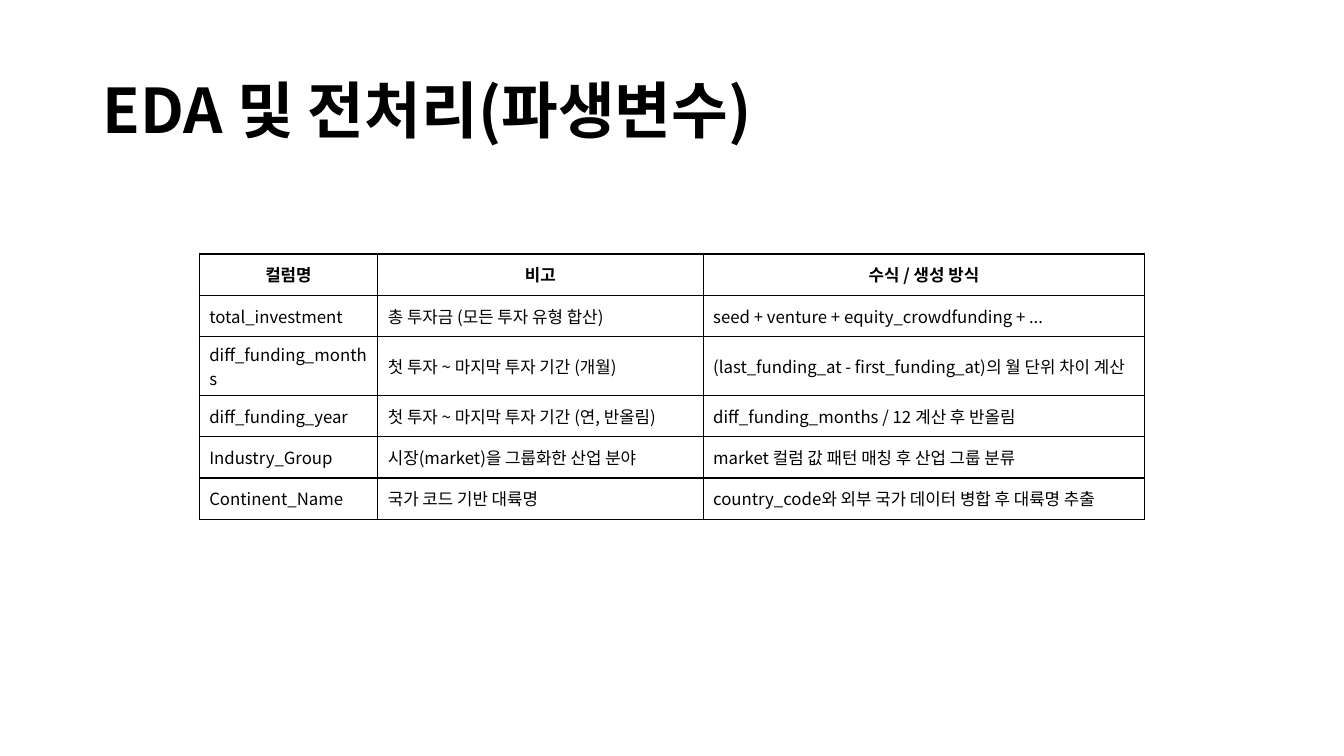
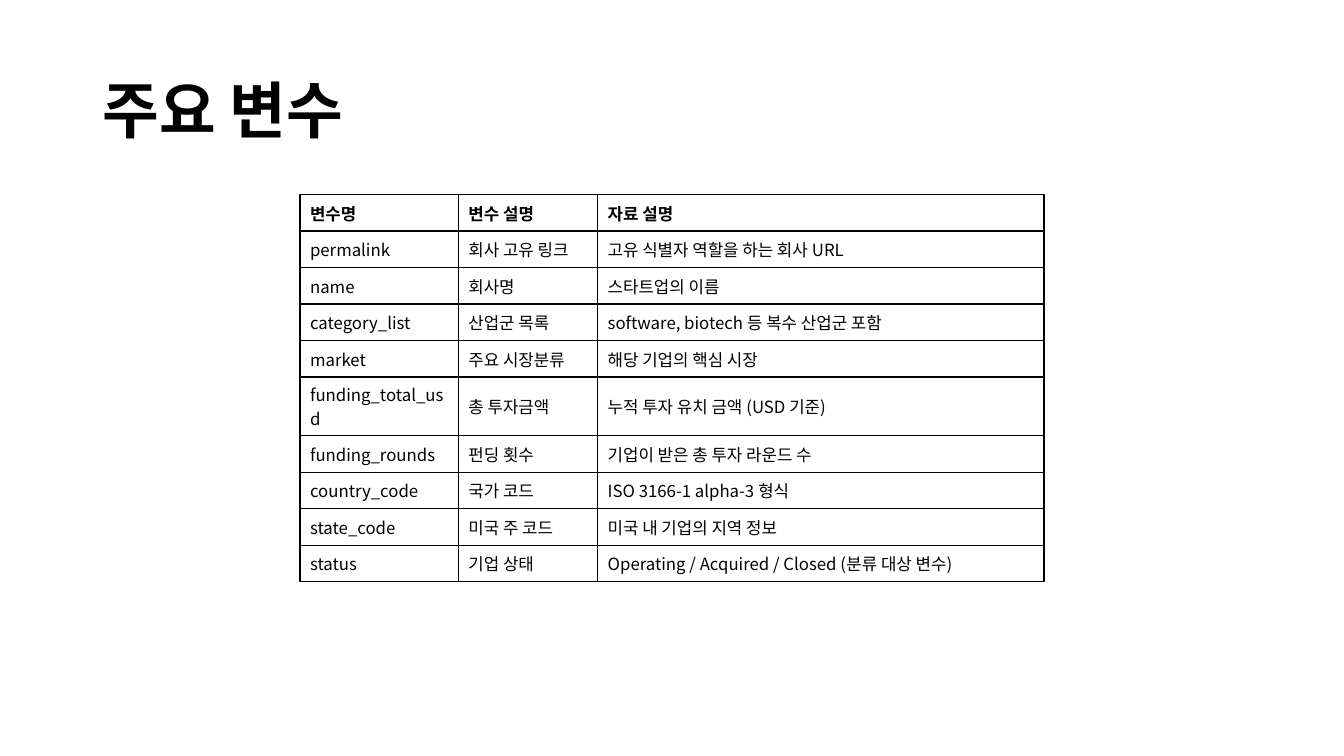
from lxml.etree import SubElement
from pptx import Presentation
from pptx.dml.color import RGBColor
from pptx.enum.text import MSO_ANCHOR as Anchor, MSO_AUTO_SIZE as AutoSize, PP_ALIGN as Align
from pptx.oxml.ns import qn
from pptx.util import Cm, Pt

BLACK = RGBColor(0x00, 0x00, 0x00)
WHITE = RGBColor(0xFF, 0xFF, 0xFF)
FONT = "Noto Sans CJK KR"
TITLE_ONLY = 5

SLIDES = [
    {
        "title": "EDA 및 전처리(파생변수)",
        "top": 6.4,
        "row_height": 1.04,
        "col_widths": (4.5, 8.2, 11.13),
        "header_align": Align.CENTER,
        "rows": [
            ("컬럼명", "비고", "수식 / 생성 방식"),
            ("total_investment", "총 투자금 (모든 투자 유형 합산)",
             "seed + venture + equity_crowdfunding + ..."),
            ("diff_funding_months", "첫 투자 ~ 마지막 투자 기간 (개월)",
             "(last_funding_at - first_funding_at)의 월 단위 차이 계산"),
            ("diff_funding_year", "첫 투자 ~ 마지막 투자 기간 (연, 반올림)",
             "diff_funding_months / 12 계산 후 반올림"),
            ("Industry_Group", "시장(market)을 그룹화한 산업 분야",
             "market 컬럼 값 패턴 매칭 후 산업 그룹 분류"),
            ("Continent_Name", "국가 코드 기반 대륙명",
             "country_code와 외부 국가 데이터 병합 후 대륙명 추출"),
        ],
    },
    {
        "title": "주요 변수",
        "top": 4.9,
        "row_height": 0.92,
        "col_widths": (3.99, 3.51, 11.25),
        "header_align": Align.LEFT,
        "rows": [
            ("변수명", "변수 설명", "자료 설명"),
            ("permalink", "회사 고유 링크", "고유 식별자 역할을 하는 회사 URL"),
            ("name", "회사명", "스타트업의 이름"),
            ("category_list", "산업군 목록", "software, biotech 등 복수 산업군 포함"),
            ("market", "주요 시장분류", "해당 기업의 핵심 시장"),
            ("funding_total_usd", "총 투자금액", "누적 투자 유치 금액 (USD 기준)"),
            ("funding_rounds", "펀딩 횟수", "기업이 받은 총 투자 라운드 수"),
            ("country_code", "국가 코드", "ISO 3166-1 alpha-3 형식"),
            ("state_code", "미국 주 코드", "미국 내 기업의 지역 정보"),
            ("status", "기업 상태", "Operating / Acquired / Closed (분류 대상 변수)"),
        ],
    },
]


def write(tf, text, size=12, bold=False, align=Align.LEFT, line_spacing=None):
    p = tf.paragraphs[0]
    p.alignment = align
    p.line_spacing = line_spacing
    r = p.add_run()
    r.text = text
    r.font.size = Pt(size)
    r.font.bold = bold
    r.font.name = FONT
    r.font.color.rgb = BLACK
    SubElement(r.font._element, qn("a:ea"), typeface=FONT)


def add_title(s, text):
    title = s.shapes.title
    title.left, title.top, title.width, title.height = Cm(2.33), Cm(1.01), Cm(29.21), Cm(3.68)
    tf = title.text_frame
    tf.auto_size = AutoSize.NONE
    tf.vertical_anchor = Anchor.MIDDLE
    write(tf, text, size=44, bold=True, line_spacing=0.9)


def add_borders(cell):
    tcPr = cell._tc.get_or_add_tcPr()
    for side in ("a:lnL", "a:lnR", "a:lnT", "a:lnB"):
        ln = SubElement(tcPr, qn(side), w=str(Pt(1)))
        fill = SubElement(ln, qn("a:solidFill"))
        SubElement(fill, qn("a:srgbClr"), val=str(BLACK))


def add_grid(s, slide_width, rows, col_widths, row_height, top, header_align):
    """Add a bordered table centred across the slide."""
    width = Cm(sum(col_widths))
    table = s.shapes.add_table(
        len(rows), len(col_widths), (slide_width - width) // 2, Cm(top),
        width, Cm(row_height * len(rows))).table
    table.horz_banding = False
    for column, col_width in zip(table.columns, col_widths):
        column.width = Cm(col_width)
    for i, texts in enumerate(rows):
        table.rows[i].height = Cm(row_height)
        is_header = i == 0
        for cell, text in zip(table.rows[i].cells, texts):
            add_borders(cell)
            cell.fill.solid()
            cell.fill.fore_color.rgb = WHITE
            cell.vertical_anchor = Anchor.MIDDLE
            write(cell.text_frame, text, bold=is_header,
                  align=header_align if is_header else Align.LEFT)


def main():
    prs = Presentation()
    prs.slide_width, prs.slide_height = Cm(33.87), Cm(19.05)
    for content in SLIDES:
        s = prs.slides.add_slide(prs.slide_layouts[TITLE_ONLY])
        add_title(s, content["title"])
        add_grid(s, prs.slide_width, content["rows"], content["col_widths"],
                 content["row_height"], content["top"], content["header_align"])
    prs.save("out.pptx")


if __name__ == "__main__":
    main()
